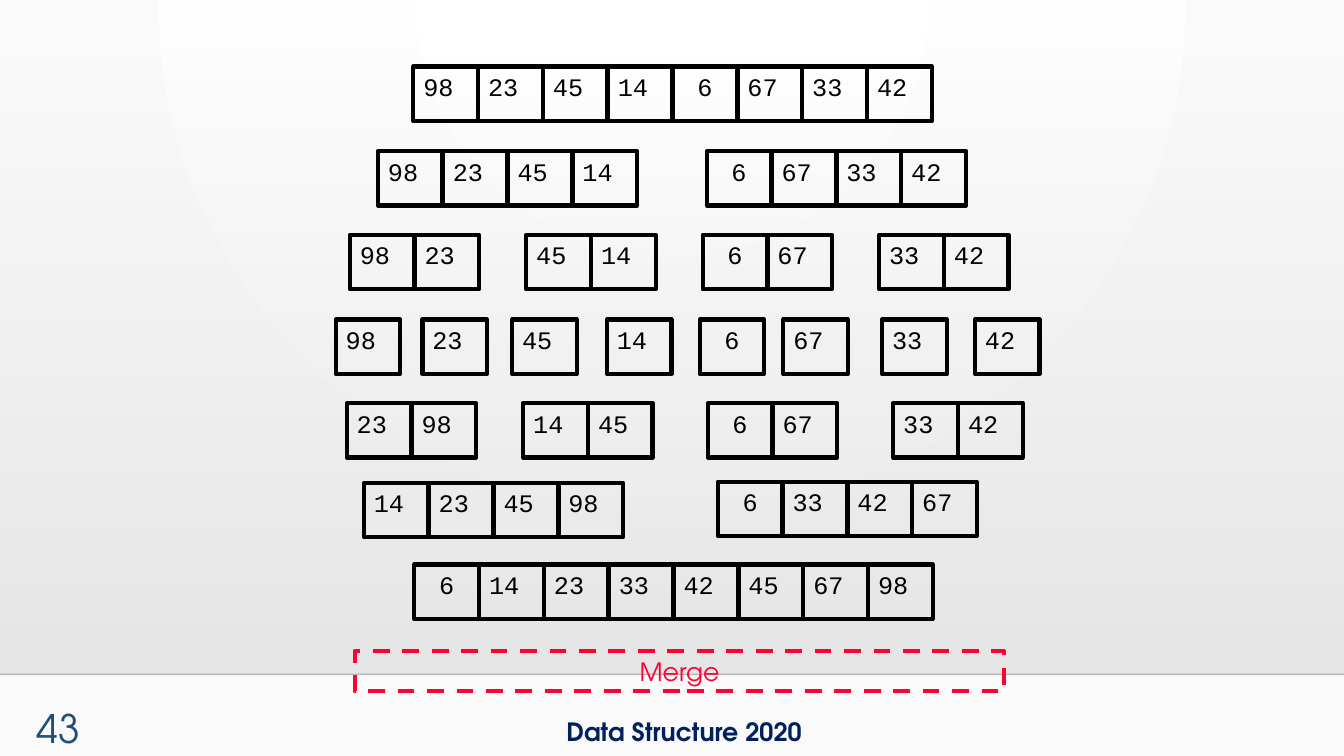
from dataclasses import dataclass

from pptx import Presentation
from pptx.dml.color import RGBColor
from pptx.enum.dml import MSO_LINE
from pptx.enum.shapes import MSO_CONNECTOR, MSO_SHAPE
from pptx.enum.text import MSO_ANCHOR, PP_ALIGN
from pptx.oxml import parse_xml
from pptx.oxml.ns import nsdecls, qn
from pptx.util import Inches, Pt


@dataclass(frozen=True)
class Theme:
    ink: str = "000000"
    accent: str = "FF0033"
    footer: str = "002060"
    number: str = "1F4E79"
    page: tuple = ("FFFFFF", "FAFAFA")
    shade: tuple = ("E7E6E6", "E8E7E7")
    rule: str = "000001"
    font: str = "TeX Gyre Adventor"
    mono: str = "Courier New"
    body_size: int = 18
    number_size: int = 28
    border: int = 3


CELL_W, CELL_H, PITCH = 0.64, 0.54, 0.643

# Each row: top, then the arrays in it as (left, values)
ROWS = [
    (0.66, [(4.1, "98 23 45 14 6 67 33 42")]),
    (1.5, [(3.75, "98 23 45 14"), (7.01, "6 67 33 42")]),
    (2.33, [(3.47, "98 23"), (5.22, "45 14"), (6.97, "6 67"), (8.72, "33 42")]),
    (3.17, [(3.33, "98"), (4.19, "23"), (5.08, "45"), (6.02, "14"),
            (6.94, "6"), (7.77, "67"), (8.75, "33"), (9.67, "42")]),
    (4, [(3.44, "23 98"), (5.19, "14 45"), (7.02, "6 67"), (8.86, "33 42")]),
    (4.79, [(3.61, "14 23 45 98")]),
    (4.78, [(7.12, "6 33 42 67")]),
    (5.6, [(4.11, "6 14 23 33 42 45 67 98")]),
]


class Deck:
    def __init__(self, prs, theme):
        self.theme = theme
        self.s = prs.slides.add_slide(prs.slide_layouts[6])

    def gradient(self, fill, colors):
        fill.gradient()
        for stop, color in zip(fill.gradient_stops, colors):
            stop.color.rgb = RGBColor.from_string(color)

    def set_alpha(self, element, percent):
        clr = next(element.iter(qn("a:srgbClr")))
        clr.append(parse_xml(f'<a:alpha {nsdecls("a")} val="{percent * 1000}"/>'))

    def background(self):
        self.gradient(self.s.background.fill, self.theme.page)
        lin = next(self.s.element.iter(qn("a:lin")))
        lin.getparent().replace(lin, parse_xml(
            f'<a:path {nsdecls("a")} path="circle">'
            '<a:fillToRect l="43000" t="0" r="43000" b="100000"/></a:path>'))

    def shade(self, x, y, w, h):
        sp = self.s.shapes.add_shape(
            MSO_SHAPE.RECTANGLE, Inches(x), Inches(y), Inches(w), Inches(h))
        sp.shadow.inherit = False
        sp.line.fill.background()
        self.gradient(sp.fill, self.theme.shade)
        sp.fill.gradient_angle = 270
        self.set_alpha(sp.element.spPr, 0)

    def rule(self, y, width):
        cx = self.s.shapes.add_connector(
            MSO_CONNECTOR.STRAIGHT, 0, Inches(y), Inches(width), Inches(y))
        cx.line.color.rgb = RGBColor.from_string(self.theme.rule)
        cx.line.width = Pt(1)
        spPr = cx.element.spPr
        self.set_alpha(spPr, 20)
        spPr.append(parse_xml(f'<a:effectLst {nsdecls("a")}/>'))

    def set_text(self, sp, text, color, font=None, size=None, bold=False,
                 align=PP_ALIGN.LEFT, anchor=MSO_ANCHOR.TOP, wrap=True):
        tf = sp.text_frame
        tf.word_wrap = wrap
        tf.vertical_anchor = anchor
        p = tf.paragraphs[0]
        p.text = text
        p.alignment = align
        p.font.name = font or self.theme.font
        p.font.size = Pt(size or self.theme.body_size)
        p.font.bold = bold
        p.font.color.rgb = RGBColor.from_string(color)

    def label(self, x, y, w, h, text, color, **style):
        sp = self.s.shapes.add_textbox(Inches(x), Inches(y), Inches(w), Inches(h))
        self.set_text(sp, text, color, **style)

    def box(self, x, y, w, h, text, color, dash=None, **style):
        sp = self.s.shapes.add_shape(
            MSO_SHAPE.RECTANGLE, Inches(x), Inches(y), Inches(w), Inches(h))
        sp.shadow.inherit = False
        sp.fill.background()
        sp.line.color.rgb = RGBColor.from_string(color)
        sp.line.width = Pt(self.theme.border)
        if dash:
            sp.line.dash_style = dash
        self.set_text(sp, text, color, **style)

    def array(self, x, y, values):
        for i, value in enumerate(values.split()):
            align = PP_ALIGN.CENTER if len(value) == 1 else PP_ALIGN.LEFT
            self.box(x + i * PITCH, y, CELL_W, CELL_H, value, self.theme.ink,
                     font=self.theme.mono, align=align)


def main():
    prs = Presentation()
    prs.slide_width, prs.slide_height = Inches(13.33), Inches(7.5)
    theme = Theme()
    deck = Deck(prs, theme)

    # Backdrop and footer
    deck.background()
    deck.shade(0, 0.51, 13.33, 6.18)
    deck.rule(6.69, 13.33)
    deck.label(5.52, 7.06, 2.61, 0.4, "Data Structure 2020", theme.footer,
               bold=True, wrap=False)

    # Split and merge steps
    for y, arrays in ROWS:
        for x, values in arrays:
            deck.array(x, y, values)

    # Current step and slide number
    deck.box(3.52, 6.46, 6.44, 0.4, "Merge", theme.accent,
             dash=MSO_LINE.DASH, align=PP_ALIGN.CENTER)
    deck.label(0, 6.95, 0.89, 0.55, "43", theme.number, size=theme.number_size,
               align=PP_ALIGN.RIGHT, anchor=MSO_ANCHOR.MIDDLE)

    prs.save("out.pptx")


if __name__ == "__main__":
    main()
